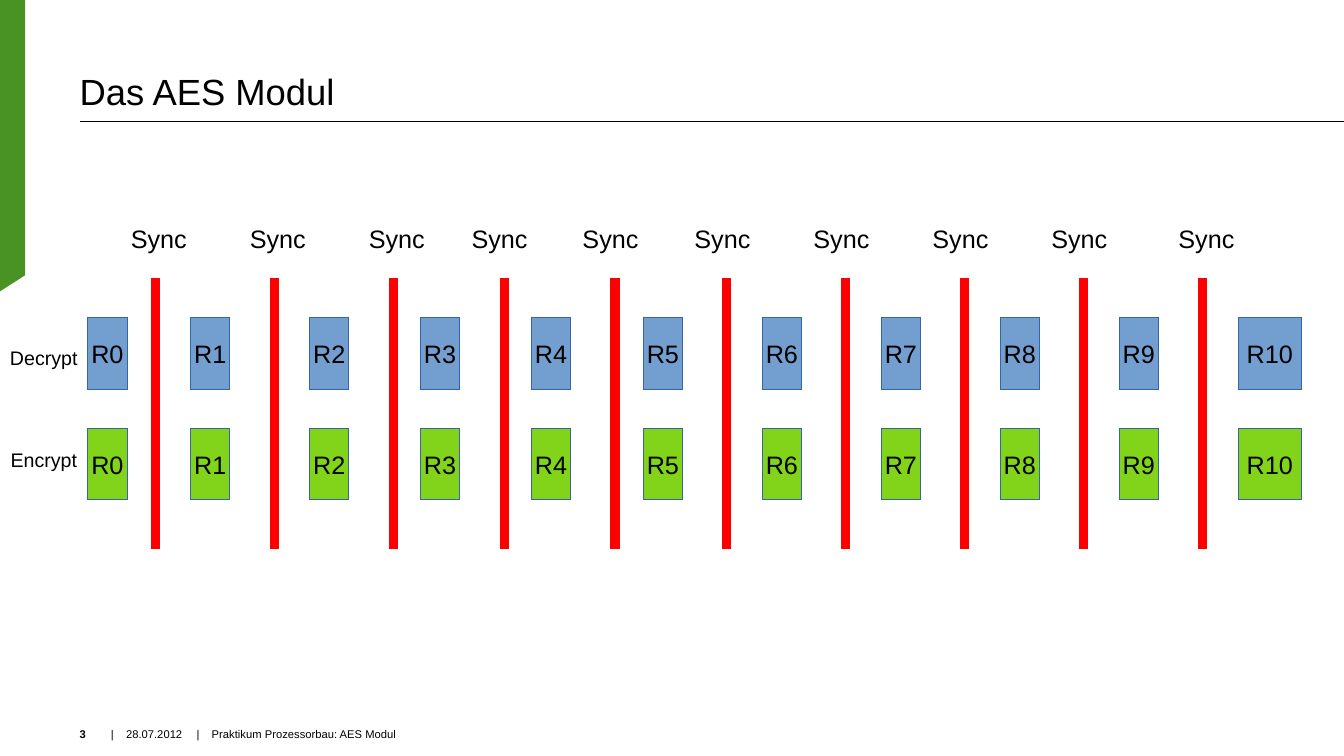
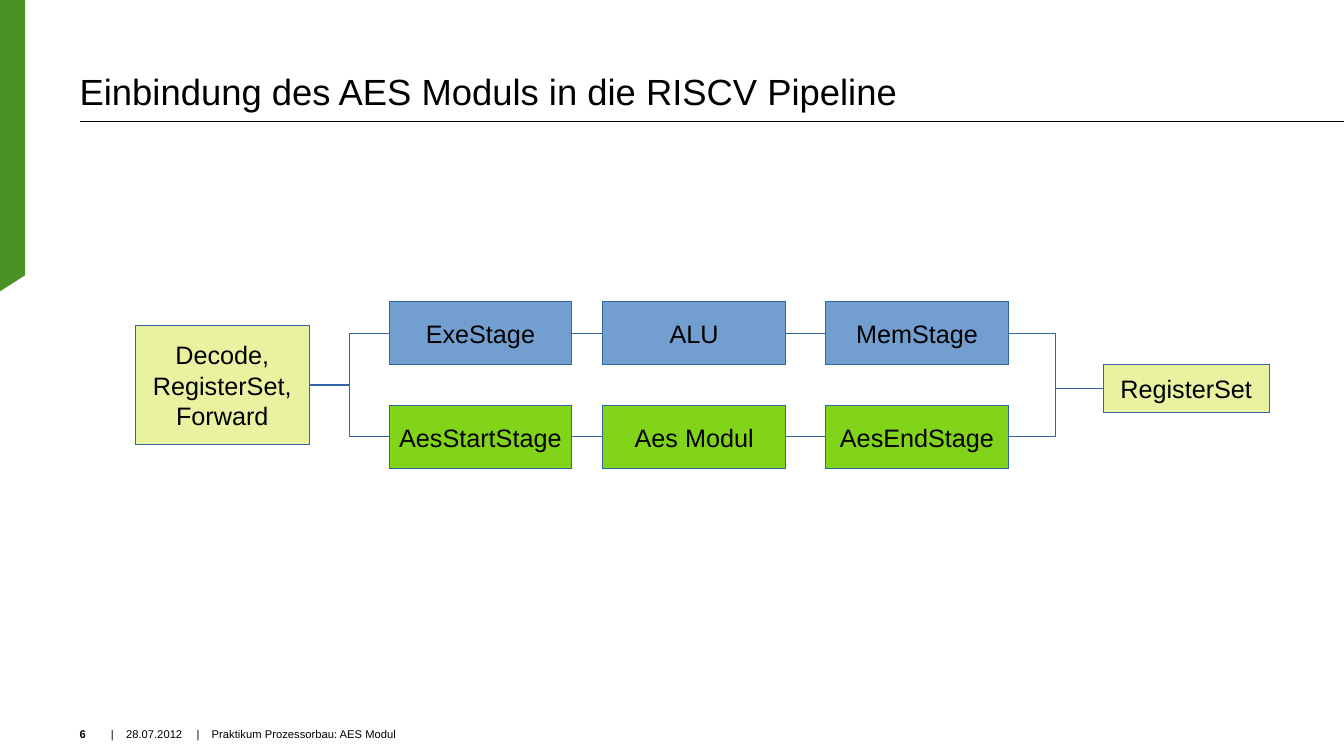
from dataclasses import dataclass
from itertools import accumulate, pairwise
from typing import Any

from lxml import etree
from pptx import Presentation
from pptx.dml.color import RGBColor
from pptx.enum.shapes import MSO_CONNECTOR, MSO_SHAPE
from pptx.enum.text import MSO_ANCHOR, MSO_AUTO_SIZE, PP_ALIGN
from pptx.oxml.ns import qn
from pptx.presentation import Presentation as Deck
from pptx.shapes.autoshape import Shape
from pptx.shapes.connector import Connector
from pptx.slide import Slide
from pptx.text.text import TextFrame
from pptx.util import Inches, Pt

BLACK = RGBColor(0x00, 0x00, 0x00)
WHITE = RGBColor(0xFF, 0xFF, 0xFF)
RED = RGBColor(0xFF, 0x00, 0x00)
BAND_GREEN = RGBColor(0x48, 0x93, 0x24)
BLUE = RGBColor(0x72, 0x9F, 0xCF)
GREEN = RGBColor(0x81, 0xD4, 0x1A)
YELLOW = RGBColor(0xE8, 0xF2, 0xA1)
OUTLINE = RGBColor(0x34, 0x65, 0xA4)

RECTANGLE = MSO_SHAPE.RECTANGLE
STRAIGHT = MSO_CONNECTOR.STRAIGHT
ELBOW = MSO_CONNECTOR.ELBOW
LEFT, CENTER = PP_ALIGN.LEFT, PP_ALIGN.CENTER
MIDDLE, BOTTOM = MSO_ANCHOR.MIDDLE, MSO_ANCHOR.BOTTOM
NO_AUTOFIT = MSO_AUTO_SIZE.NONE
LEFT_SIDE, RIGHT_SIDE = 1, 3

FONT = "Arial"
TITLE_ONLY = 5
SLIDE_WIDTH, SLIDE_HEIGHT = 13.33, 7.5
MARGIN = 0.79
HAIRLINE = 0.01
FOOTER_TOP, FOOTER_HEIGHT, FOOTER_TAB = 7.11, 0.24, 0.15
DATE = "28.07.2012"
LECTURE = "Praktikum Prozessorbau: AES Modul"

FLUSH_FRAME = {
    "margin_left": 0,
    "margin_right": 0,
    "margin_top": 0,
    "margin_bottom": 0,
    "vertical_anchor": BOTTOM,
    "word_wrap": True,
    "auto_size": NO_AUTOFIT,
}
BOX_FRAME = {"vertical_anchor": MIDDLE, "word_wrap": False}
TITLE_FONT = {"name": FONT, "size": Pt(26), "bold": False}
FOOTER_FONT = {"name": FONT, "size": Pt(8), "bold": False}
NUMBER_FONT = FOOTER_FONT | {"bold": True}
BOX_FONT = {"name": FONT, "size": Pt(18)}
ROW_FONT = BOX_FONT | {"size": Pt(14)}

BAR_PITCHES = (1.18, 1.18, 1.1, 1.1, 1.11, 1.18, 1.18, 1.18, 1.18)
BAR_LEFTS = tuple(accumulate(BAR_PITCHES, initial=1.5))
ROUND_LEFTS = (0.87, *(left - 0.79 for left in BAR_LEFTS[1:]), 12.28)
ROUND_WIDTH, LAST_ROUND_WIDTH, ROUND_HEIGHT = 0.39, 0.63, 0.71
STAGE_LEFTS = (3.86, 5.98, 8.19)
STAGE_WIDTH, STAGE_HEIGHT = 1.81, 0.63


@dataclass(frozen=True)
class Box:
    left: float
    top: float
    width: float
    height: float
    fill: RGBColor
    line: RGBColor = OUTLINE
    text: str = ""


@dataclass(frozen=True)
class RoundRow:
    name: str
    name_top: float
    top: float
    fill: RGBColor


@dataclass(frozen=True)
class StageRow:
    names: tuple[str, str, str]
    top: float
    fill: RGBColor


@dataclass(frozen=True)
class FooterPart:
    text: str
    left: float
    width: float
    font: dict[str, Any]


ROUND_ROWS = (
    RoundRow("Decrypt", 3.31, 3.15, BLUE),
    RoundRow("Encrypt", 4.33, 4.25, GREEN),
)
STAGE_ROWS = (
    StageRow(("ExeStage", "ALU", "MemStage"), 2.99, BLUE),
    StageRow(("AesStartStage", "Aes Modul", "AesEndStage"), 4.02, GREEN),
)


def apply_format(target: Any, values: dict[str, Any]) -> None:
    for attribute, value in values.items():
        setattr(target, attribute, value)


def write_text(
    frame: TextFrame,
    text: str,
    frame_format: dict[str, Any],
    font: dict[str, Any],
    alignment: PP_ALIGN,
) -> None:
    frame.text = text
    apply_format(frame, frame_format)
    for paragraph in frame.paragraphs:
        paragraph.alignment = alignment
        for run in paragraph.runs:
            apply_format(run.font, font)
            run.font.color.rgb = BLACK


def add_box(slide: Slide, box: Box, font: dict[str, Any] = BOX_FONT) -> Shape:
    rectangle = slide.shapes.add_shape(
        RECTANGLE, Inches(box.left), Inches(box.top), Inches(box.width), Inches(box.height)
    )
    rectangle.shadow.inherit = False
    rectangle.fill.solid()
    rectangle.fill.fore_color.rgb = box.fill
    rectangle.line.color.rgb = box.line
    rectangle.line.width = Pt(HAIRLINE)
    if box.text:
        write_text(rectangle.text_frame, box.text, BOX_FRAME, font, CENTER)
    return rectangle


def style_line(line: Connector, color: RGBColor, width: float) -> None:
    line.line.color.rgb = color
    line.line.width = Pt(width)
    etree.SubElement(line.element.spPr, qn("a:effectLst"))


def join(slide: Slide, source: Shape, target: Shape, kind: MSO_CONNECTOR) -> None:
    link = slide.shapes.add_connector(kind, 0, 0, 0, 0)
    link.begin_connect(source, RIGHT_SIDE)
    link.end_connect(target, LEFT_SIDE)
    style_line(link, OUTLINE, HAIRLINE)


def add_band(slide: Slide) -> None:
    outline = slide.shapes.build_freeform(0, 0, scale=Inches(0.01))
    outline.add_line_segments([(25, 0), (25, 273), (0, 289)], close=True)
    band = outline.convert_to_shape()
    band.shadow.inherit = False
    band.fill.solid()
    band.fill.fore_color.rgb = BAND_GREEN
    band.line.fill.background()


def add_footer(slide: Slide, number: int) -> None:
    parts = (
        FooterPart(str(number), MARGIN, 0.35, NUMBER_FONT),
        FooterPart(f"|\t{DATE}", 1.1, 0.88, FOOTER_FONT),
        FooterPart(f"|\t{LECTURE}", 1.95, 7.98, FOOTER_FONT),
    )
    for part in parts:
        footer = slide.shapes.add_textbox(
            Inches(part.left), Inches(FOOTER_TOP), Inches(part.width), Inches(FOOTER_HEIGHT)
        )
        write_text(footer.text_frame, part.text, FLUSH_FRAME, part.font, LEFT)
        if "\t" in part.text:
            properties = footer.text_frame.paragraphs[0]._p.get_or_add_pPr()
            tabs = etree.SubElement(properties, qn("a:tabLst"))
            etree.SubElement(tabs, qn("a:tab"), pos=str(Inches(FOOTER_TAB)), algn="l")


def add_content_slide(deck: Deck, title: str, number: int) -> Slide:
    slide = deck.slides.add_slide(deck.slide_layouts[TITLE_ONLY])
    heading = slide.shapes.title
    apply_format(
        heading,
        {"left": Inches(MARGIN), "top": 0, "width": Inches(11.76), "height": Inches(1.12)},
    )
    write_text(heading.text_frame, title, FLUSH_FRAME, TITLE_FONT, LEFT)
    heading.text_frame.paragraphs[0].line_spacing = 0.9
    add_band(slide)
    rule = slide.shapes.add_connector(
        STRAIGHT, Inches(MARGIN), Inches(1.2), Inches(SLIDE_WIDTH), Inches(1.2)
    )
    style_line(rule, BLACK, 0.5)
    add_footer(slide, number)
    return slide


def build_rounds(deck: Deck) -> None:
    slide = add_content_slide(deck, "Das AES Modul", 3)
    for index, left in enumerate(BAR_LEFTS):
        label_shift = 0.4 if 3 <= index <= 8 else 0.32
        add_box(slide, Box(left, 2.76, 0.08, 2.68, RED, RED))
        add_box(slide, Box(left - label_shift, 2.13, 0.79, 0.47, WHITE, WHITE, "Sync"))
    last = len(ROUND_LEFTS) - 1
    for row in ROUND_ROWS:
        add_box(slide, Box(0.08, row.name_top, 0.71, 0.47, WHITE, WHITE, row.name), ROW_FONT)
        for index, left in enumerate(ROUND_LEFTS):
            width = LAST_ROUND_WIDTH if index == last else ROUND_WIDTH
            add_box(slide, Box(left, row.top, width, ROUND_HEIGHT, row.fill, text=f"R{index}"))


def build_pipeline(deck: Deck) -> None:
    slide = add_content_slide(deck, "Einbindung des AES Moduls in die RISCV Pipeline", 6)
    decode = add_box(
        slide, Box(1.34, 3.23, 1.73, 1.18, YELLOW, text="Decode,\nRegisterSet,\nForward")
    )
    register_set = add_box(slide, Box(10.94, 3.62, 1.65, 0.47, YELLOW, text="RegisterSet"))
    for row in STAGE_ROWS:
        stages = [
            add_box(slide, Box(left, row.top, STAGE_WIDTH, STAGE_HEIGHT, row.fill, text=name))
            for left, name in zip(STAGE_LEFTS, row.names)
        ]
        join(slide, decode, stages[0], ELBOW)
        for source, target in pairwise(stages):
            join(slide, source, target, STRAIGHT)
        join(slide, stages[-1], register_set, ELBOW)


def main() -> None:
    deck = Presentation()
    deck.slide_width = Inches(SLIDE_WIDTH)
    deck.slide_height = Inches(SLIDE_HEIGHT)
    build_rounds(deck)
    build_pipeline(deck)
    deck.save("out.pptx")


if __name__ == "__main__":
    main()
